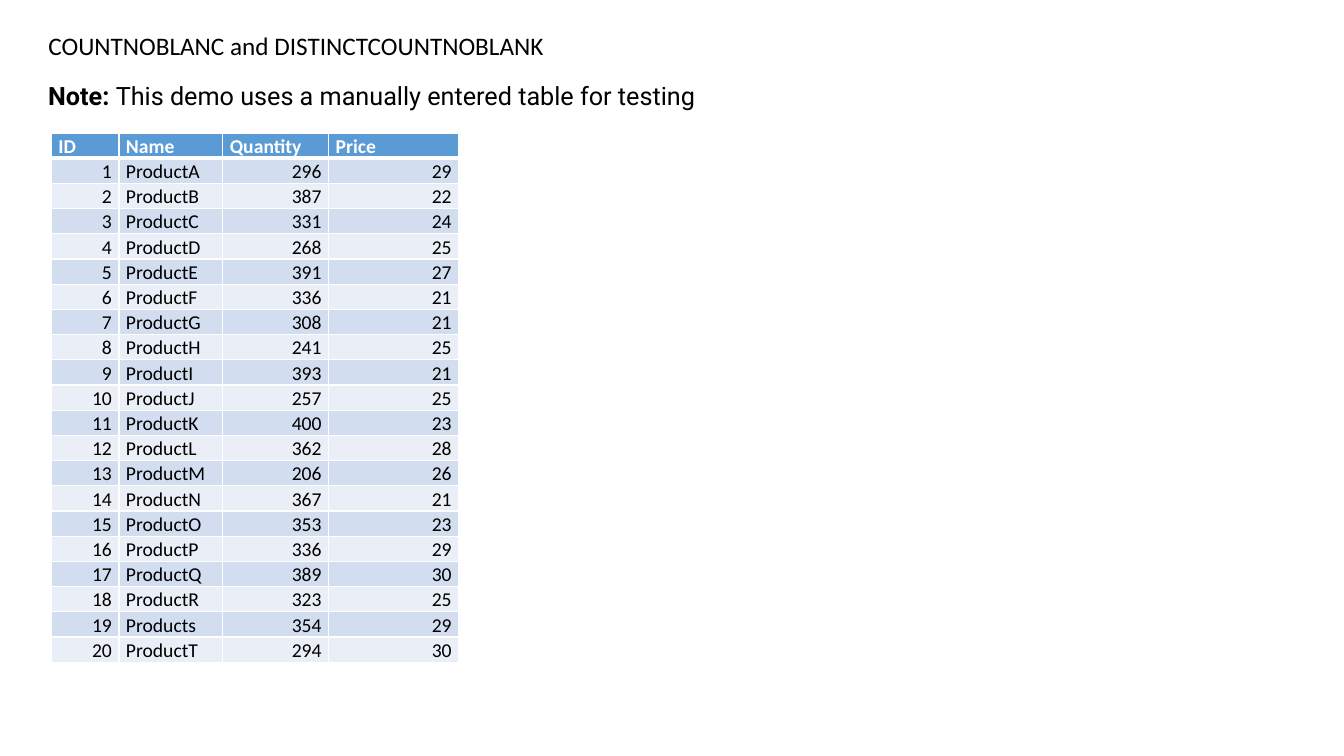
from lxml import etree
from pptx import Presentation
from pptx import util as u
from pptx.dml.color import RGBColor
from pptx.enum import text
from pptx.oxml import ns

PX = 9144
BLACK = RGBColor(0x00, 0x00, 0x00)
WHITE = RGBColor(0xFF, 0xFF, 0xFF)
HEADER_BLUE = RGBColor(0x5B, 0x9B, 0xD5)
BANDS = [RGBColor(0xD2, 0xDE, 0xEF), RGBColor(0xEA, 0xEF, 0xF7)]

HEADERS = ["ID", "Name", "Quantity", "Price"]
COLUMN_WIDTHS = [67, 103, 105, 129]
ROW_HEIGHT = 25
NAME_COLUMN = 1
SUFFIXES = "ABCDEFGHIJKLMNOPQRsT"
QUANTITIES = [296, 387, 331, 268, 391, 336, 308, 241, 393, 257,
              400, 362, 206, 367, 353, 336, 389, 323, 354, 294]
PRICES = [29, 22, 24, 25, 27, 21, 21, 25, 21, 25,
          23, 28, 26, 21, 23, 29, 30, 25, 29, 30]


def px(length):
    """Turn a length in px into EMU."""
    return u.Emu(length * PX)


def style_font(font, name, size, color, bold=False):
    """Set the face, size, colour and weight of a font."""
    font.name = name
    font.size = u.Pt(size)
    font.color.rgb = color
    font.bold = bold


def fit_frame(frame):
    """Make a text frame hug its single line."""
    frame.word_wrap = False
    frame.auto_size = text.MSO_AUTO_SIZE.SHAPE_TO_FIT_TEXT
    frame.vertical_anchor = text.MSO_ANCHOR.TOP


def add_title(slide, wording, left, top, width, height):
    """Fill and place the title placeholder."""
    title = slide.shapes.title
    title.left, title.top = px(left), px(top)
    title.width, title.height = px(width), px(height)
    title.text_frame.text = wording
    fit_frame(title.text_frame)
    line = title.text_frame.paragraphs[0]
    line.alignment = text.PP_ALIGN.LEFT
    style_font(line.runs[0].font, "Calibri", 18, BLACK)


def add_note(slide, label, wording, left, top, width, height):
    """Add a line of text that opens with a bold label."""
    note = slide.shapes.add_textbox(px(left), px(top), px(width), px(height))
    fit_frame(note.text_frame)
    line = note.text_frame.paragraphs[0]
    line.line_spacing = 1.07
    for part, bold in [(label, True), (wording, False)]:
        run = line.add_run()
        run.text = part
        style_font(run.font, "Roboto", 18, BLACK, bold)


def add_border(cell, side, points):
    """Draw a white line on one side of a cell."""
    border = etree.SubElement(cell._tc.get_or_add_tcPr(), ns.qn(f"a:ln{side}"),
                              w=str(u.Pt(points)))
    fill = etree.SubElement(border, ns.qn("a:solidFill"))
    etree.SubElement(fill, ns.qn("a:srgbClr"), val=str(WHITE))


def fill_cell(cell, value, is_header, align, color):
    """Write and format one table cell."""
    cell.margin_left = cell.margin_right = px(7)
    cell.margin_top = cell.margin_bottom = 0
    cell.vertical_anchor = text.MSO_ANCHOR.BOTTOM
    borders = {"L": 1, "R": 1, "T": 1, "B": 3} if is_header else {"L": 1, "R": 1, "B": 1}
    for side, points in borders.items():
        add_border(cell, side, points)
    cell.fill.solid()
    cell.fill.fore_color.rgb = color
    cell.text_frame.text = str(value)
    line = cell.text_frame.paragraphs[0]
    line.alignment = align
    line.line_spacing = 1.07
    style_font(line.runs[0].font, "Calibri", 14, WHITE if is_header else BLACK, is_header)


def add_product_table(slide, left, top):
    """Add the banded table of products."""
    names = [f"Product{suffix}" for suffix in SUFFIXES]
    ids = range(1, len(names) + 1)
    rows = [HEADERS, *zip(ids, names, QUANTITIES, PRICES)]
    products = slide.shapes.add_table(
        len(rows), len(HEADERS), px(left), px(top),
        px(sum(COLUMN_WIDTHS)), px(ROW_HEIGHT * len(rows))).table
    for column, width in zip(products.columns, COLUMN_WIDTHS):
        column.width = px(width)
    for r, values in enumerate(rows):
        products.rows[r].height = px(ROW_HEIGHT)
        is_header = r == 0
        color = HEADER_BLUE if is_header else BANDS[(r - 1) % 2]
        for c, value in enumerate(values):
            to_left = is_header or c == NAME_COLUMN
            align = text.PP_ALIGN.LEFT if to_left else text.PP_ALIGN.RIGHT
            fill_cell(products.cell(r, c), value, is_header, align, color)


def main():
    """Build the slide and save it."""
    deck = Presentation()
    deck.slide_width, deck.slide_height = px(1333), px(750)
    slide = deck.slides.add_slide(deck.slide_layouts[5])
    add_title(slide, "COUNTNOBLANC and DISTINCTCOUNTNOBLANK", 38, 25, 516, 40)
    add_note(slide, "Note: ", "This demo uses a manually entered table for testing",
             38, 73, 667, 40)
    add_product_table(slide, 51, 132)
    deck.save("out.pptx")


if __name__ == "__main__":
    main()
